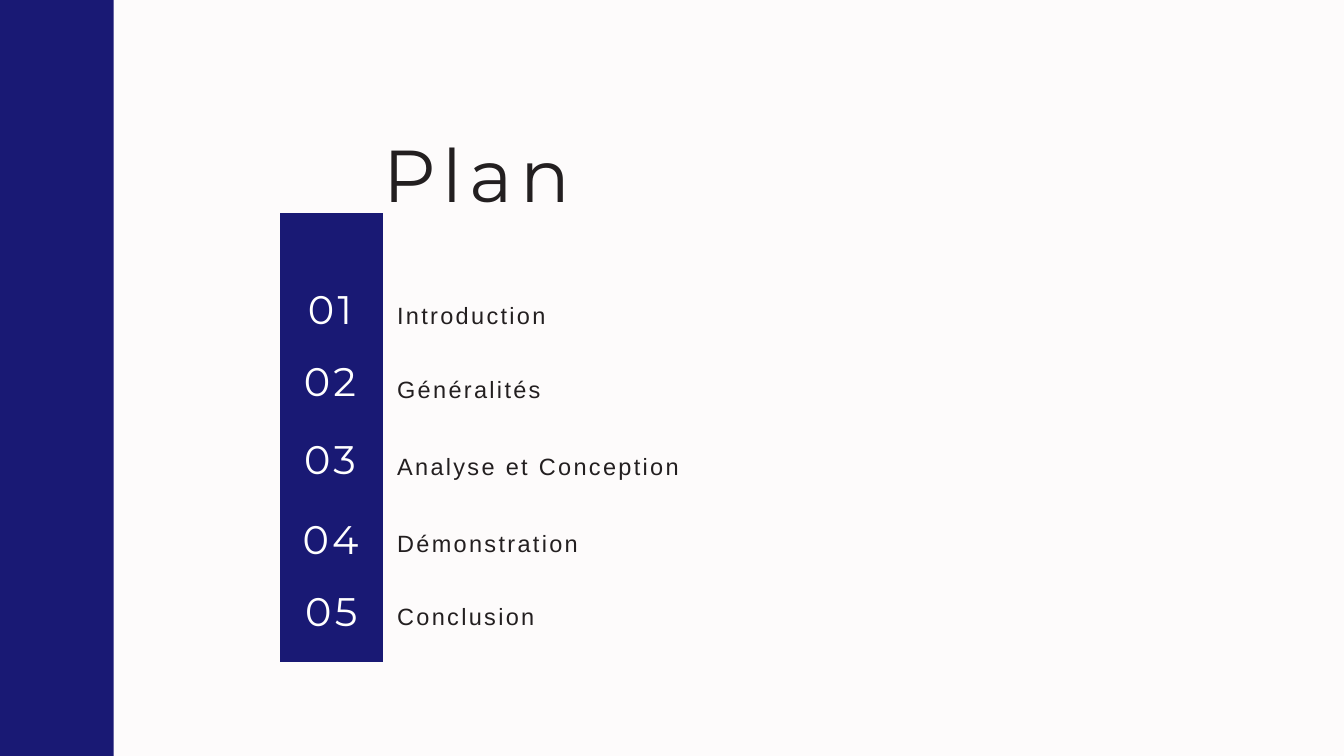
"""Build the agenda slide with its numbered sections."""
from dataclasses import dataclass

from pptx import Presentation
from pptx.dml.color import RGBColor
from pptx.enum.shapes import MSO_SHAPE
from pptx.enum.text import MSO_AUTO_SIZE, PP_ALIGN
from pptx.slide import Slide
from pptx.util import Inches, Pt

RECTANGLE = MSO_SHAPE.RECTANGLE
FIT_SHAPE = MSO_AUTO_SIZE.SHAPE_TO_FIT_TEXT
LEFT, CENTER = PP_ALIGN.LEFT, PP_ALIGN.CENTER

COLORS = {
    "background": "FDFBFB",
    "navy": "191974",
    "ink": "231F20",
    "white": "FFFFFF",
}


@dataclass(frozen=True)
class TextStyle:
    font: str
    size: float
    color: str
    line_height: float
    tracking: float
    alignment: PP_ALIGN = LEFT


@dataclass(frozen=True)
class Section:
    title: str
    number_left: float
    number_top: float
    title_top: float


HEADING = TextStyle("Montserrat", 78.7, "ink", 108.6, 7.7)
NUMBER = TextStyle("Montserrat", 42.7, "white", 51.3, 3.5, CENTER)
TITLE = TextStyle("Arial", 25.2, "ink", 34.8, 2.5)

SECTIONS = [
    Section("Introduction", 4.4, 4.23, 4.42),
    Section("Généralités", 4.4, 5.3, 5.52),
    Section("Analyse et Conception", 4.4, 6.47, 6.66),
    Section("Démonstration", 4.41, 7.66, 7.81),
    Section("Conclusion", 4.42, 8.73, 8.89),
]


def add_panel(slide: Slide, left: float, top: float, width: float, height: float) -> None:
    """Draw a plain navy rectangle."""
    shape = slide.shapes.add_shape(
        RECTANGLE, Inches(left), Inches(top), Inches(width), Inches(height)
    )
    shape.shadow.inherit = False
    shape.fill.solid()
    shape.fill.fore_color.rgb = RGBColor.from_string(COLORS["navy"])
    shape.line.fill.background()


def add_text(slide: Slide, text: str, style: TextStyle,
             left: float, top: float, width: float, height: float) -> None:
    """Add one line of letter-spaced text without margins."""
    box = slide.shapes.add_textbox(
        Inches(left), Inches(top), Inches(width), Inches(height)
    )
    frame = box.text_frame
    frame.word_wrap = True
    frame.auto_size = FIT_SHAPE
    frame.margin_left = frame.margin_right = Inches(0)
    frame.margin_top = frame.margin_bottom = Inches(0)
    paragraph = frame.paragraphs[0]
    paragraph.alignment = style.alignment
    paragraph.line_spacing = Pt(style.line_height)
    run = paragraph.add_run()
    run.text = text
    run.font.name = style.font
    run.font.size = Pt(style.size)
    run.font.color.rgb = RGBColor.from_string(COLORS[style.color])
    run.font._element.set("spc", str(round(style.tracking * 100)))


def main() -> None:
    """Create and save the presentation."""
    presentation = Presentation()
    presentation.slide_width = Inches(20)
    presentation.slide_height = Inches(11.25)
    slide = presentation.slides.add_slide(presentation.slide_layouts[6])
    slide.background.fill.solid()
    slide.background.fill.fore_color.rgb = RGBColor.from_string(COLORS["background"])

    add_panel(slide, 4.17, 3.17, 1.53, 6.68)
    add_panel(slide, 0, 0, 1.69, 11.25)
    add_text(slide, "Plan", HEADING, 5.7, 1.72, 6.19, 1.45)
    for index, section in enumerate(SECTIONS, start=1):
        add_text(slide, f"{index:02}", NUMBER,
                 section.number_left, section.number_top, 1.02, 0.72)
    for section in SECTIONS:
        add_text(slide, section.title, TITLE, 5.91, section.title_top, 6.65, 0.46)

    presentation.save("out.pptx")


if __name__ == "__main__":
    main()
